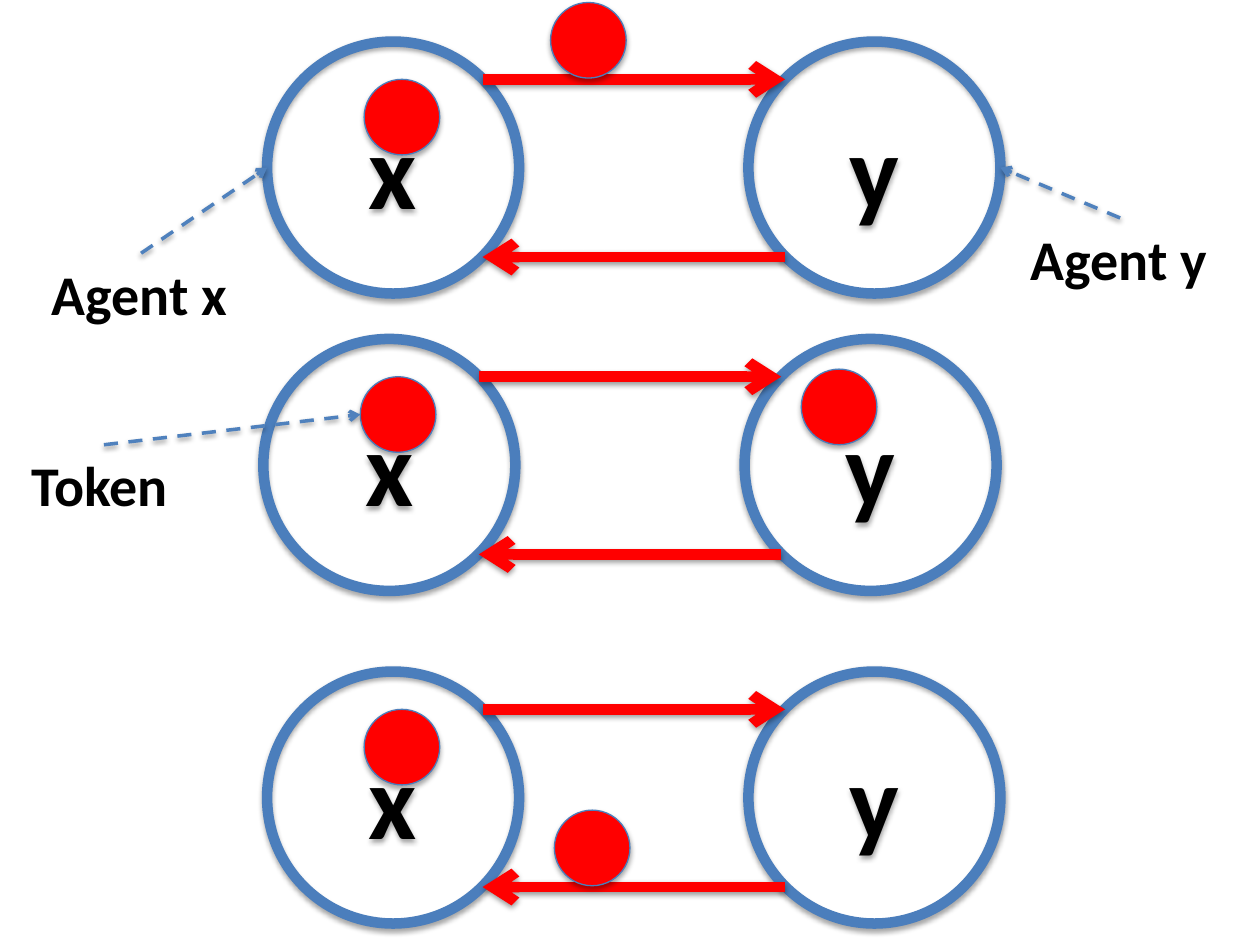
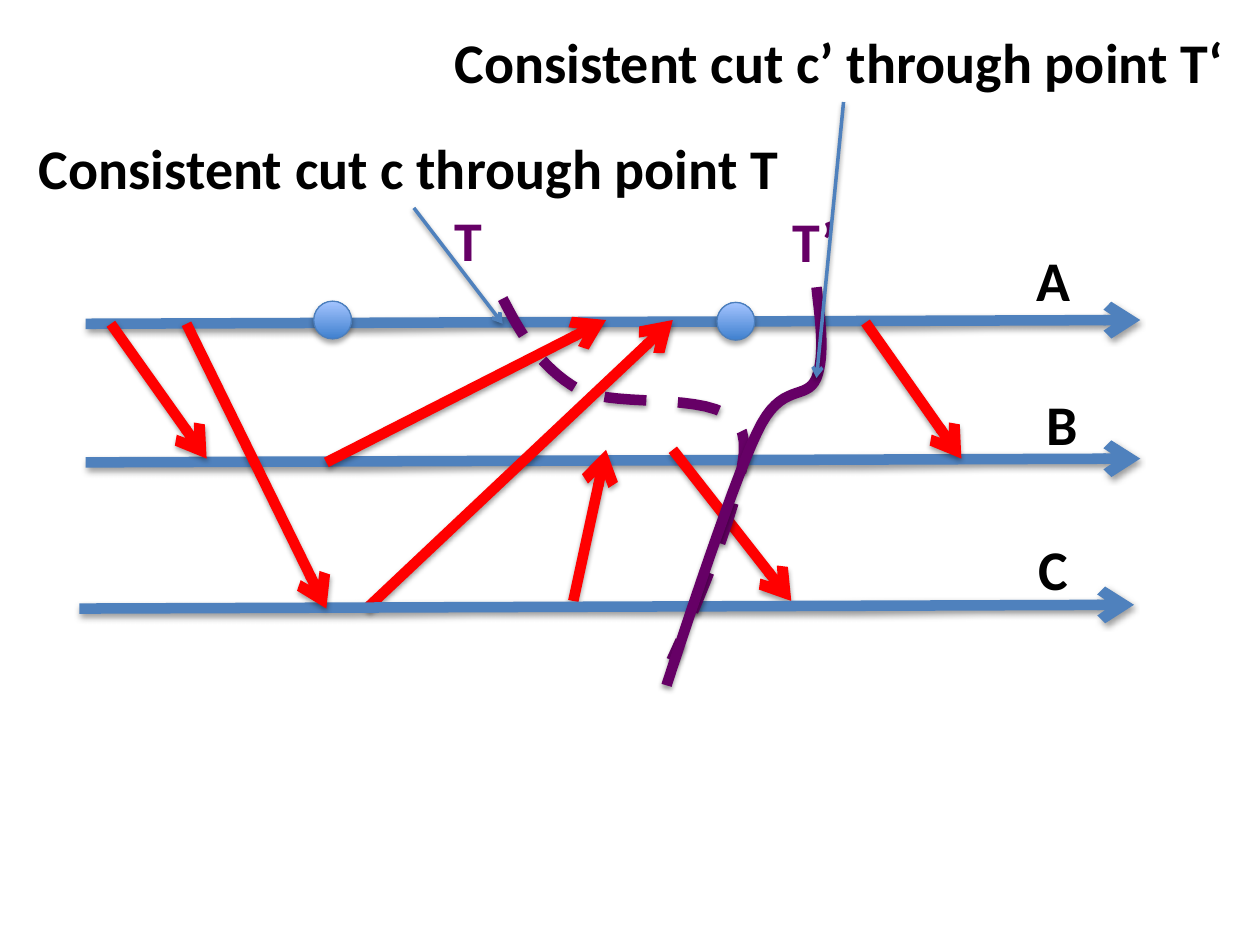
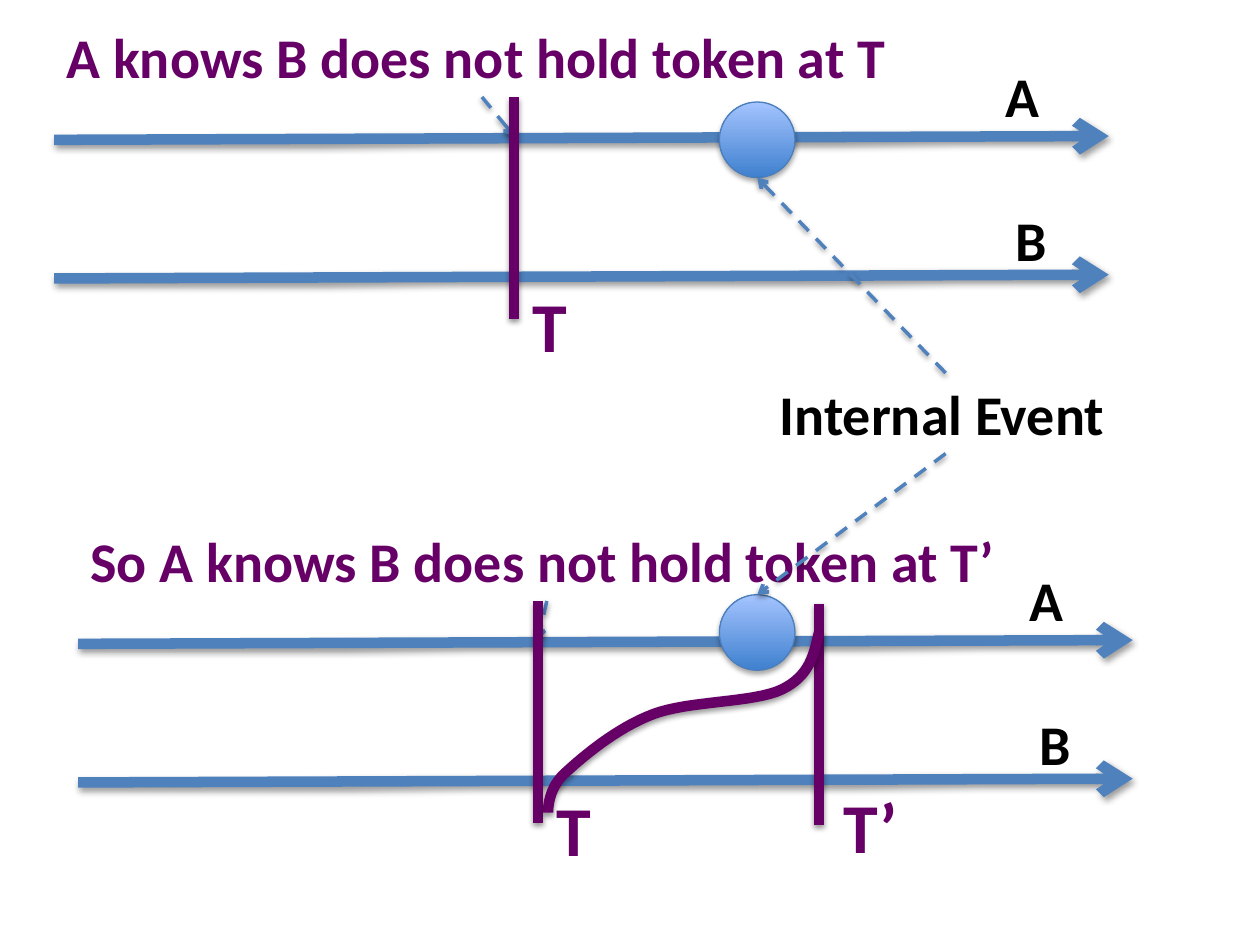
from lxml import etree
from pptx import Presentation
from pptx.dml.color import RGBColor
from pptx.enum.dml import MSO_LINE
from pptx.enum.shapes import MSO_CONNECTOR, MSO_SHAPE
from pptx.enum.text import MSO_ANCHOR, MSO_AUTO_SIZE, PP_ALIGN
from pptx.oxml.ns import qn
from pptx.util import Inches, Pt

DASH = MSO_LINE.DASH
OVAL = MSO_SHAPE.OVAL
STRAIGHT = MSO_CONNECTOR.STRAIGHT
MIDDLE = MSO_ANCHOR.MIDDLE
CENTER = PP_ALIGN.CENTER
LEFT = PP_ALIGN.LEFT
GROW = MSO_AUTO_SIZE.SHAPE_TO_FIT_TEXT

FONT = "Calibri"
COLORS = {"ink": "000000", "blue": "4F81BD", "rim": "4B7EBC", "red": "FF0000",
          "plum": "660066", "deep": "3F80CE", "pale": "A4C4FF"}
TOP, BOTTOM = 0, 2
BOLD, THIN = 6, 2

# Slide 1: left and top of each pair, then the offset of its second token
PAIRS = [((2.12, 0.33), (2.25, -0.31)),
         ((2.09, 2.69), (4.27, 0.24)),
         ((2.12, 5.33), (2.28, 1.1))]
ROLES = [("Agent x", (0.31, 2.01), 1.62, (2.12, 1.33)),
         ("Token", (0.15, 3.53), 1.35, (2.86, 3.29)),
         ("Agent y", (8.08, 1.73), 1.62, (7.94, 1.33))]

# Axis names: shift right and up from the start of the axis, width
NAMES = {"A": (7.45, 0.67, 0.47), "B": (7.53, 0.63, 0.45), "C": (7.51, 0.64, 0.44)}
SPAN = 8.37

# Slide 2: messages under and over axis C, events, cuts
UNDER = [((5.34, 3.57), (6.28, 4.77)), ((2.59, 3.67), (4.81, 2.54)),
         ((0.88, 2.57), (1.64, 3.64)), ((2.91, 4.83), (5.34, 2.54)),
         ((4.55, 4.77), (4.81, 3.57))]
OVER = [((1.48, 2.57), (2.59, 4.83)), ((6.87, 2.56), (7.63, 3.64))]
EVENTS = [(2.49, 2.39), (5.69, 2.4)]
MARKS = [("T", (3.51, 1.58), 0.43), ("T’", (6.19, 1.59), 0.54)]
CUTS = [([(3.99, 2.37), (4.13, 2.64), (4.28, 2.91), (4.59, 3.09), (4.91, 3.26),
          (5.77, 3.07), (5.89, 3.43), (6.02, 3.78), (5.33, 5.24), (5.33, 5.24)], DASH),
        ([(6.48, 2.28), (6.51, 2.55), (6.55, 2.81), (6.48, 3), (6.4, 3.19),
          (6.2, 3.02), (6.01, 3.43), (5.81, 3.83), (5.29, 5.44), (5.29, 5.44)], None)]
NOTES = [("Consistent cut c’ through point T‘", (3.51, 0.17), 6.37, (6.48, 3)),
         ("Consistent cut c through point T", (0.21, 1.01), 6.15, (3.99, 2.57))]

# Slide 3: start of each scene, its claim and the width of the claim
SCENES = [((0.43, 1.11), "A knows B does not hold token at T", 6.79),
          ((0.62, 5.11), "So A knows B does not hold token at T’", 7.44)]
LATER = [(6.5, 5.02), (6.46, 5.19), (6.43, 5.36), (6.21, 5.47), (5.99, 5.58),
         (5.46, 5.56), (5.18, 5.67), (4.89, 5.78), (4.62, 6.01), (4.48, 6.14),
         (4.34, 6.27), (4.35, 6.45), (4.35, 6.45)]


def rgb(name):
    return RGBColor.from_string(COLORS[name])


def shade(item, drop, alpha):
    """Give the item a soft shadow that falls straight down."""
    props = item._element.spPr
    for old in props.findall(qn("a:effectLst")):
        props.remove(old)
    box = etree.SubElement(props, qn("a:effectLst"))
    cast = etree.SubElement(box, qn("a:outerShdw"), blurRad=str(Pt(3.1)),
                            dist=str(Pt(drop)), dir="5400000", rotWithShape="0")
    tint = etree.SubElement(cast, qn("a:srgbClr"), val=COLORS["ink"])
    etree.SubElement(tint, qn("a:alpha"), val=str(alpha * 1000))


def pen(item, color, width, dash=None):
    item.line.color.rgb = rgb(color)
    item.line.width = Pt(width)
    if dash:
        item.line.dash_style = dash


def write(item, text, size=32, color="ink", align=LEFT):
    para = item.text_frame.paragraphs[0]
    para.alignment = align
    run = para.add_run()
    run.text = text
    run.font.name, run.font.size, run.font.bold = FONT, Pt(size), True
    run.font.color.rgb = rgb(color)


def label(slide, text, at, width, **style):
    high = 0.77 if style.get("size") == 40 else 0.64
    box = slide.shapes.add_textbox(*map(Inches, (*at, width, high)))
    box.text_frame.word_wrap = False
    box.text_frame.auto_size = GROW
    write(box, text, **style)
    return box


def stroke(slide, start, end, color="red", width=BOLD, dash=None, head=True):
    line = slide.shapes.add_connector(STRAIGHT, *map(Inches, (*start, *end)))
    pen(line, color, width, dash)
    if head:
        etree.SubElement(line.line._get_or_add_ln(), qn("a:tailEnd"), type="arrow")
    shade(line, 1.6, 38)
    return line


def point(slide, box, side, end, dash=DASH):
    """Draw a thin arrow from the middle of a label's side."""
    line = stroke(slide, end, end, "blue", THIN, dash)
    line.begin_connect(box, side)


def disc(slide, at, size, fill=None, rim=0.75):
    ball = slide.shapes.add_shape(OVAL, *map(Inches, (*at, size, size)))
    if fill == "blend":
        ball.fill.gradient()
        ball.fill.gradient_angle = 90
        for stop, name in zip(ball.fill.gradient_stops, ("deep", "pale")):
            stop.color.rgb = rgb(name)
    elif fill:
        ball.fill.solid()
        ball.fill.fore_color.rgb = rgb(fill)
    else:
        ball.fill.background()
    pen(ball, "rim", rim)
    shade(ball, 1.8, 35)
    return ball


def curve(slide, knots, dash=None, steps=16):
    """Trace joined cubic curves; each takes three more knots."""
    dots = [knots[0]]
    for i in range(0, len(knots) - 1, 3):
        quad = knots[i:i + 4]
        for n in range(1, steps + 1):
            t = n / steps
            part = ((1 - t) ** 3, 3 * t * (1 - t) ** 2, 3 * t * t * (1 - t), t ** 3)
            dots.append(tuple(sum(w * k[d] for w, k in zip(part, quad)) for d in (0, 1)))
    # Whole EMU keep the fine steps, as the builder rounds its points
    dots = [(Inches(x), Inches(y)) for x, y in dots]
    form = slide.shapes.build_freeform(*dots[0])
    form.add_line_segments(dots[1:], close=False)
    cut = form.convert_to_shape()
    cut.fill.background()
    pen(cut, "plum", BOLD, dash)
    shade(cut, 1.6, 38)


def axis(slide, name, x, y):
    stroke(slide, (x, y), (x + SPAN, y - 0.03), "blue")
    right, up, width = NAMES[name]
    label(slide, name, (x + right, y - up), width)


def wall(slide, x, y):
    stroke(slide, (x, y), (x, y + 1.76), "plum", head=False)


def tokens(slide):
    for (x, y), (dx, dy) in PAIRS:
        for name, left in (("x", x), ("y", x + 3.82)):
            agent = disc(slide, (left, y), 2, rim=BOLD)
            agent.text_frame.vertical_anchor = MIDDLE
            write(agent, name, size=60, align=CENTER)
        near, far = x + 1.71, x + 4.11
        stroke(slide, (near, y + 0.3), (far, y + 0.3))
        stroke(slide, (far, y + 1.71), (near, y + 1.71))
        for at in ((x + 0.77, y + 0.3), (x + dx, y + dy)):
            disc(slide, at, 0.6, "red")
    for text, at, width, end in ROLES:
        point(slide, label(slide, text, at, width), TOP, end)


def cuts(slide):
    axis(slide, "A", 0.68, 2.57)
    axis(slide, "B", 0.68, 3.67)
    for start, end in UNDER:
        stroke(slide, start, end)
    axis(slide, "C", 0.63, 4.83)
    for at in EVENTS:
        disc(slide, at, 0.3, "blend")
    for text, at, width in MARKS:
        label(slide, text, at, width, color="plum")
    for start, end in OVER:
        stroke(slide, start, end)
    for knots, dash in CUTS:
        curve(slide, knots, dash)
    for text, at, width, end in NOTES:
        point(slide, label(slide, text, at, width), BOTTOM, end, dash=None)


def claims(slide):
    for (x, y), text, width in SCENES:
        axis(slide, "A", x, y)
        axis(slide, "B", x, y + 1.1)
        claim = label(slide, text, (x, y - 0.98), width, color="plum")
        point(slide, claim, BOTTOM, (x + 3.65, y - 0.03))
        wall(slide, x + 3.65, y - 0.34)
        label(slide, "T", (x + 3.7, y + 1.08), 0.48, size=40, color="plum")
    wall(slide, 6.5, 4.79)
    label(slide, "T’", (6.6, 6.17), 0.66, size=40, color="plum")
    curve(slide, LATER)
    for top in (0.81, 4.72):
        disc(slide, (5.71, top), 0.6, "blend")
    event = label(slide, "Internal Event", (6.09, 2.96), 2.83)
    point(slide, event, TOP, (6.01, 1.41))
    point(slide, event, BOTTOM, (6.01, 4.72))


def main():
    deck = Presentation()
    deck.slide_width, deck.slide_height = Inches(10), Inches(7.5)
    blank = deck.slide_layouts[6]
    for draw in (tokens, cuts, claims):
        draw(deck.slides.add_slide(blank))
    deck.save("out.pptx")


if __name__ == "__main__":
    main()
